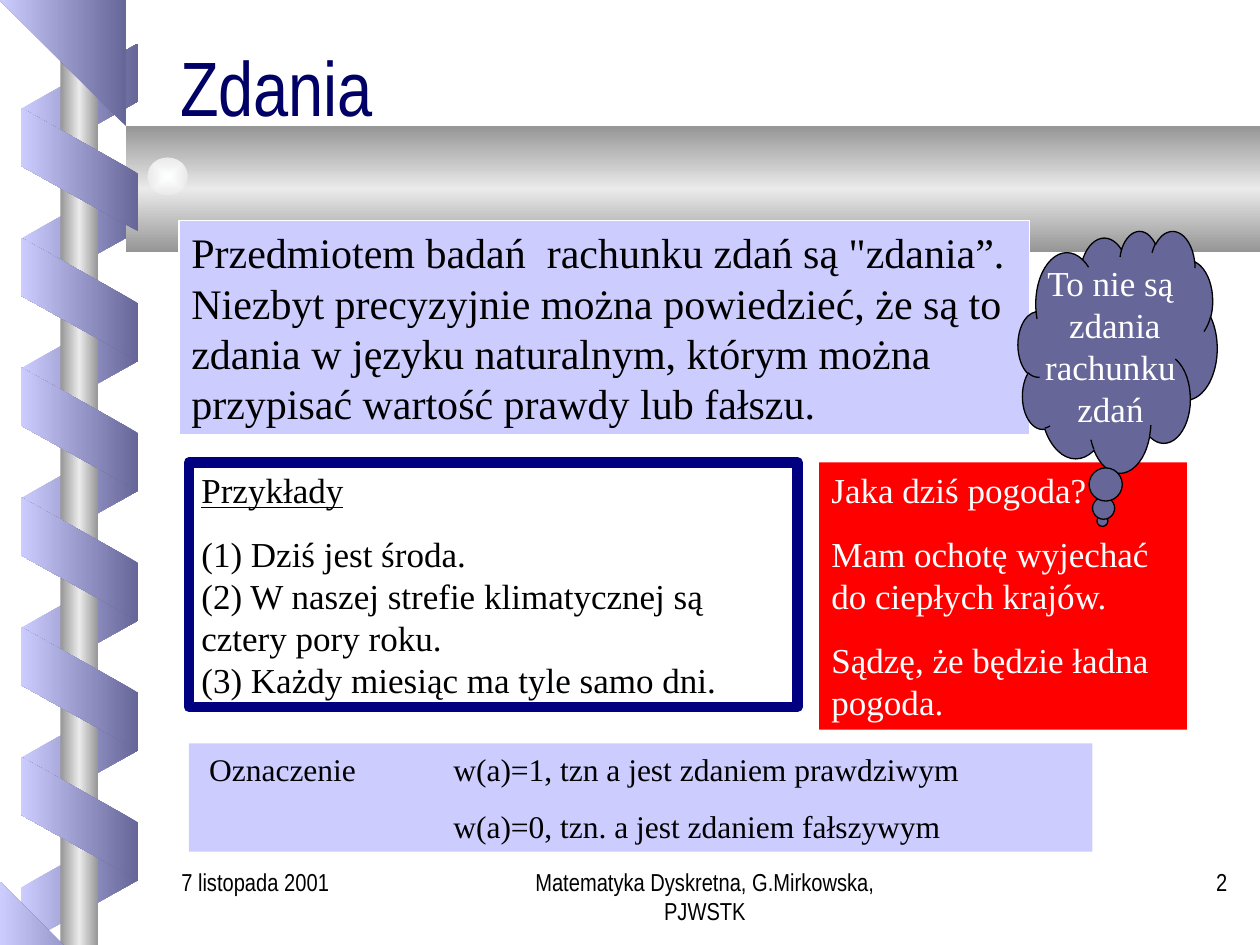
"""Build the slide "Zdania" on propositional sentences, with its spiral binding decoration."""
import pptx
import pptx.util
import pptx.dml.color
import pptx.enum.shapes
import pptx.enum.text
import pptx.oxml
import pptx.oxml.ns

Inches, Pt = pptx.util.Inches, pptx.util.Pt
SHAPE = pptx.enum.shapes.MSO_SHAPE
ALIGN = pptx.enum.text.PP_ALIGN
ANCHOR = pptx.enum.text.MSO_ANCHOR

C = {"lilac": "CCCCFF", "slate": "666699", "navy": "000066", "frame": "000080",
     "red": "FF0000", "white": "FFFFFF", "black": "000000",
     "grey": "969696", "silver": "EAEAEA", "pearl": "FEFFFF"}
SERIF, NARROW = "Times New Roman", "Arial Narrow"
W, H = 10, 7.5

TITLE = "Zdania"
BOXES = [
    {"at": (1.42, 1.75, 6.75, 1.7), "fill": "lilac", "line": ("white", 0.75),
     "paras": ["Przedmiotem badań  rachunku zdań są \"zdania”. Niezbyt precyzyjnie można "
               "powiedzieć, że są to zdania w języku naturalnym, którym można przypisać "
               "wartość prawdy lub fałszu."],
     "fmt": {"size": 24}},
    {"at": (1.5, 3.67, 4.83, 1.94), "line": ("frame", 6),
     "paras": ["Przykłady",
               "(1) Dziś jest środa.\n(2) W naszej strefie klimatycznej są cztery pory roku.\n"
               "(3) Każdy miesiąc ma tyle samo dni."],
     "fmt": {"size": 20, "before": 12.5, "underline_first": True}},
    {"at": (6.5, 3.67, 2.92, 2.12), "fill": "red",
     "paras": ["Jaka dziś pogoda?", "Mam ochotę wyjechać do ciepłych krajów.",
               "Sądzę, że będzie ładna pogoda."],
     "fmt": {"size": 20, "color": "white", "before": 12.5}},
    {"at": (1.5, 5.9, 7.17, 0.86), "fill": "lilac",
     "paras": [" Oznaczenie\tw(a)=1, tzn a jest zdaniem prawdziwym",
               "\t\tw(a)=0, tzn. a jest zdaniem fałszywym"],
     "fmt": {"size": 18, "before": 11.2, "tabs": (1, 2)}},
    {"at": (8.08, 1.83, 1.58, 1.92), "kind": SHAPE.CLOUD_CALLOUT, "adj": (-0.076, 0.7),
     "fill": "slate", "line": ("black", 0.75),
     "paras": ["To nie są\n zdania", " rachunku ", "zdań"],
     "fmt": {"size": 20, "color": "white", "align": ALIGN.CENTER,
             "anchor": ANCHOR.MIDDLE, "wrap": False}},
]
FOOTERS = [
    (4.01, 3.17, "Matematyka Dyskretna, G.Mirkowska, PJWSTK", ALIGN.CENTER),
    (7.76, 2.08, "2", ALIGN.RIGHT),
    (1.34, 2.08, "7 listopada 2001", ALIGN.LEFT),
]

PITCH, STRIP, STRIP_X = 1.03, (0.98, 0.93), 0.14
BACK_STRIPS = {"top": 0.37, "count": 7, "rotation": 90, "flip": True,
               "colors": ("lilac", "slate")}
FRONT_STRIPS = {"top": 0.88, "count": 6, "rotation": 270, "flip": False,
                "colors": ("slate", "lilac")}
STRIP_ENDS = [
    [(0.17, 0), (0.17, 0.29), (1.09, 0.81), (1.09, 0.35), (0.47, 0)],
    [(0.96, H), (0.17, 7.05), (0.17, H)],
]
BAR = [(W, 1.25), (0.76, 1.25), (0.6, 1.39), (0.76, 1.53), (W, 1.53)]
METAL = ("grey", "silver", "grey")


def rgb(name):
    """Return the named colour."""
    return pptx.dml.color.RGBColor.from_string(C[name])


def write(shape, paras, size=20, font=SERIF, color="black", align=ALIGN.LEFT,
          anchor=ANCHOR.TOP, wrap=True, before=0, spacing=None, tabs=(),
          underline_first=False):
    """Fill a shape with formatted paragraphs."""
    tf = shape.text_frame
    tf.word_wrap, tf.vertical_anchor = wrap, anchor
    tf.margin_left = tf.margin_right = Inches(0.1)
    tf.margin_top = tf.margin_bottom = Inches(0.05)
    for i, text in enumerate(paras):
        p = tf.add_paragraph() if i else tf.paragraphs[0]
        p.alignment = align
        p.space_before = Pt(before if i else 0)
        if spacing:
            p.line_spacing = spacing
        if tabs:
            stops = pptx.oxml.parse_xml(f'<a:tabLst {pptx.oxml.ns.nsdecls("a")}/>')
            for pos in tabs:
                stops.append(pptx.oxml.parse_xml(
                    f'<a:tab {pptx.oxml.ns.nsdecls("a")} pos="{Inches(pos)}" algn="l"/>'))
            p._p.get_or_add_pPr().append(stops)
        for j, line in enumerate(text.split("\n")):
            if j:
                p.add_line_break()
            r = p.add_run()
            r.text = line
            r.font.name, r.font.size = font, Pt(size)
            r.font.color.rgb = rgb(color)
            if underline_first and i == 0:
                r.font.underline = True


def add_shape(s, kind, at):
    """Add a preset shape without shadow, fill or line."""
    sp = s.shapes.add_shape(kind, *map(Inches, at))
    return plain(sp)


def add_outline(s, points):
    """Add a closed outline without shadow, fill or line."""
    fb = s.shapes.build_freeform(*points[0], scale=Inches(1))
    fb.add_line_segments(points[1:], close=True)
    return plain(fb.convert_to_shape())


def plain(sp):
    """Strip the default look from a shape."""
    sp.shadow.inherit = False
    sp.fill.background()
    sp.line.fill.background()
    return sp


def shade(sp, colors, angle=None):
    """Give a shape a linear gradient, or a centred one when no angle is given."""
    stops = "".join(
        f'<a:gs pos="{100000 * i // (len(colors) - 1)}"><a:srgbClr val="{C[name]}"/></a:gs>'
        for i, name in enumerate(colors))
    way = (f'<a:lin ang="{angle * 60000}" scaled="1"/>' if angle is not None else
           '<a:path path="rect"><a:fillToRect l="50000" t="50000" r="50000" b="50000"/></a:path>')
    grad = pptx.oxml.parse_xml(
        f'<a:gradFill {pptx.oxml.ns.nsdecls("a")} rotWithShape="0">'
        f'<a:gsLst>{stops}</a:gsLst>{way}</a:gradFill>')
    old = sp._element.spPr.find(pptx.oxml.ns.qn("a:noFill"))
    sp._element.spPr.replace(old, grad)


def add_strips(s, top, count, rotation, flip, colors):
    """Stack the slanted strips of one side of the spiral."""
    for i in range(count):
        sp = add_shape(s, SHAPE.PARALLELOGRAM, (STRIP_X, top + i * PITCH, *STRIP))
        sp.adjustments[0] = 0.56
        sp.rotation = rotation
        if flip:
            sp._element.spPr.xfrm.set("flipH", "1")
        shade(sp, colors, 180)


def main():
    """Build and save the slide."""
    prs = pptx.Presentation()
    prs.slide_width, prs.slide_height = Inches(W), Inches(H)
    s = prs.slides.add_slide(prs.slide_layouts[5])

    add_strips(s, **BACK_STRIPS)
    shade(add_shape(s, SHAPE.RECTANGLE, (0.48, 0, 0.3, H)), METAL, 180)
    shade(add_outline(s, BAR), METAL, 90)
    shade(add_shape(s, SHAPE.OVAL, (1.17, 1.25, 0.32, 0.3)), ("pearl", "silver"))
    add_strips(s, **FRONT_STRIPS)
    for points in STRIP_ENDS:
        shade(add_outline(s, points), FRONT_STRIPS["colors"], 180)

    title = s.shapes.title
    title.left, title.top, title.width, title.height = map(Inches, (1.33, 0.46, 8.5, 0.63))
    write(title, [TITLE], size=44, font=NARROW, color="navy", anchor=ANCHOR.BOTTOM, spacing=0.8)
    title.text_frame.auto_size = pptx.enum.text.MSO_AUTO_SIZE.NONE

    for box in BOXES:
        sp = add_shape(s, box.get("kind", SHAPE.RECTANGLE), box["at"])
        for i, value in enumerate(box.get("adj", ())):
            sp.adjustments[i] = value
        if "fill" in box:
            sp.fill.solid()
            sp.fill.fore_color.rgb = rgb(box["fill"])
        if "line" in box:
            color, width = box["line"]
            sp.line.color.rgb, sp.line.width = rgb(color), Pt(width)
        write(sp, box["paras"], **box["fmt"])

    for left, width, text, align in FOOTERS:
        tb = s.shapes.add_textbox(*map(Inches, (left, 6.83, width, 0.5)))
        write(tb, [text], size=14, font=NARROW, align=align)

    prs.save("out.pptx")


if __name__ == "__main__":
    main()
